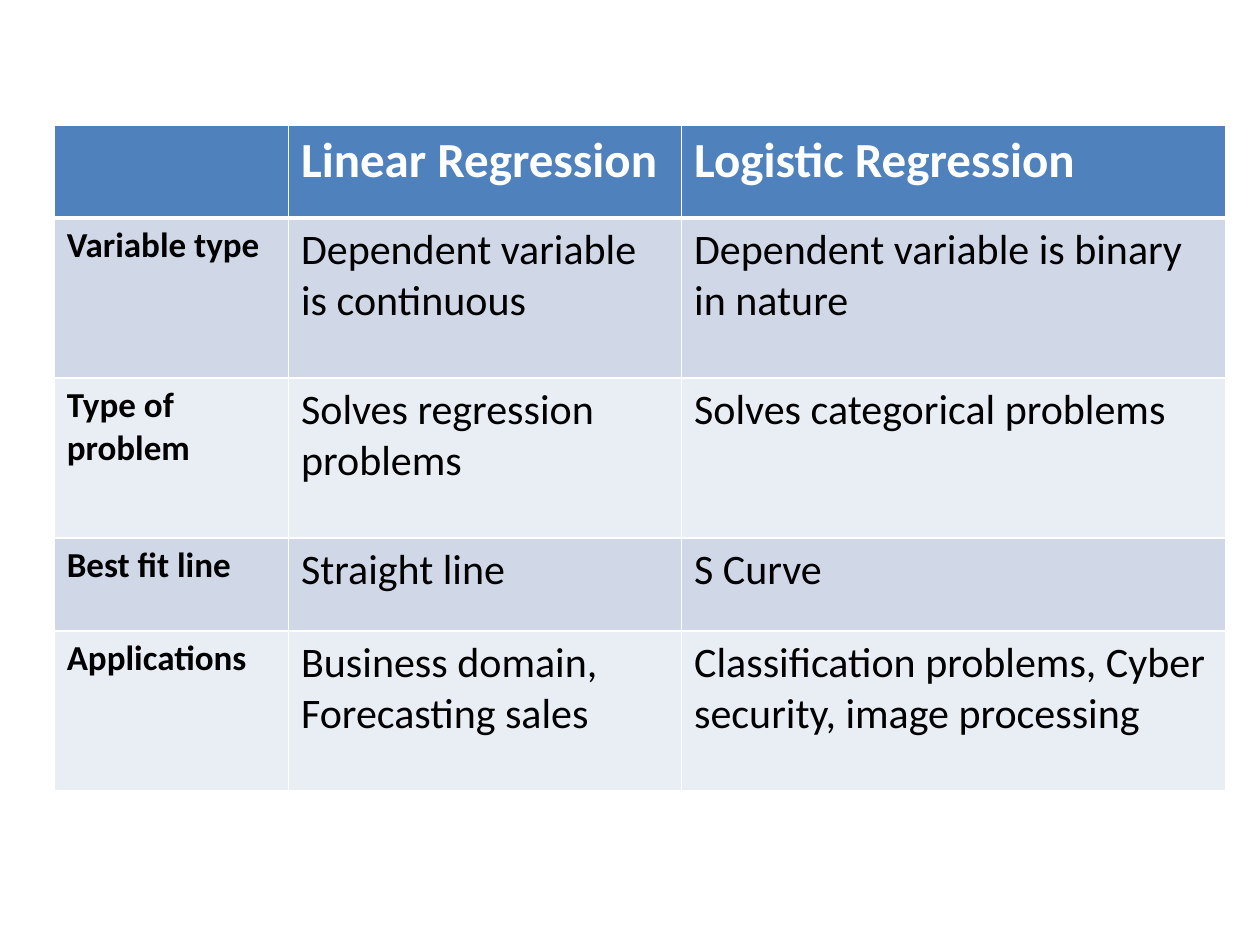
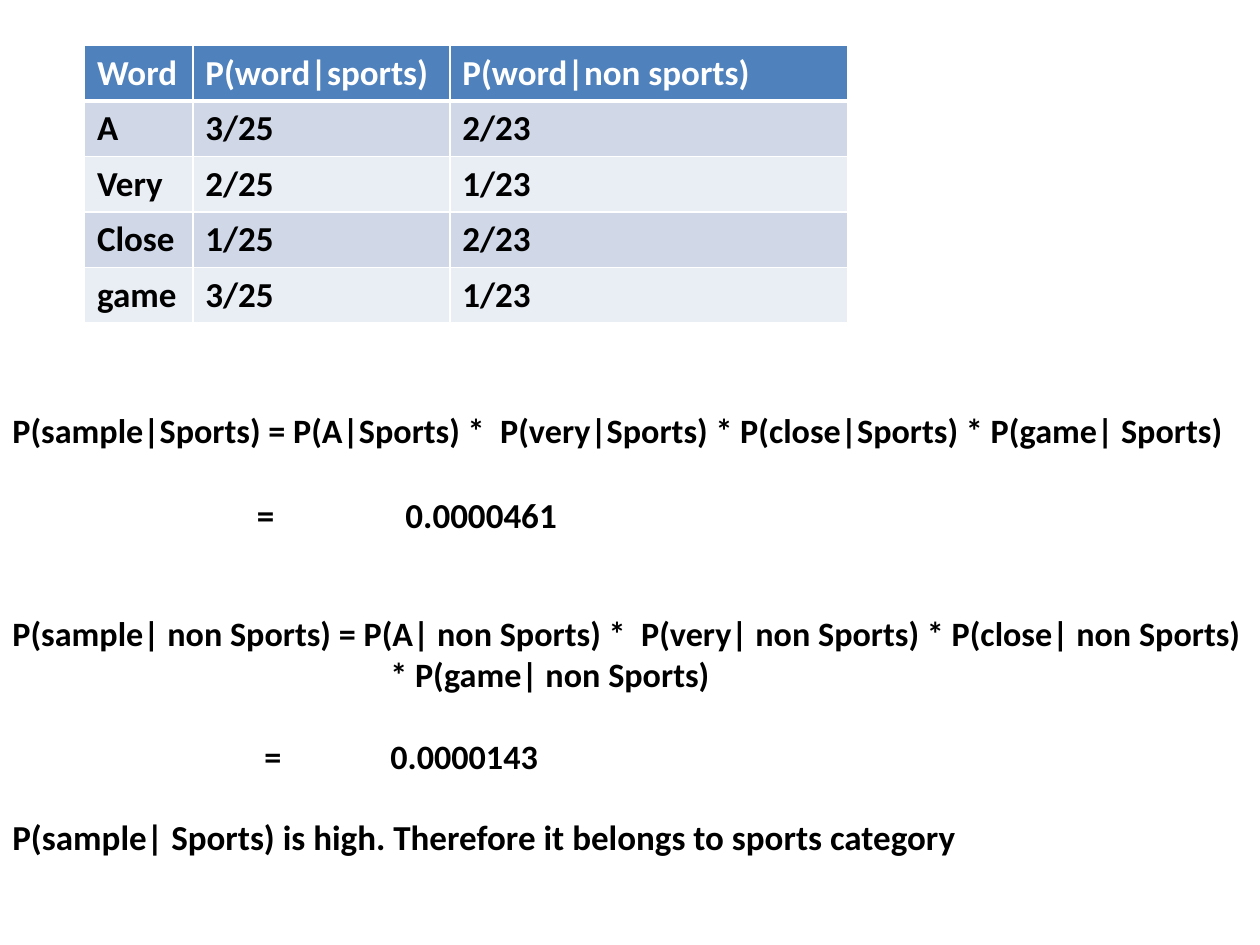
import pptx
import pptx.util
import pptx.dml.color
import pptx.oxml
import pptx.oxml.ns
import lxml.etree

Inches = pptx.util.Inches
Pt = pptx.util.Pt

FONT = "Calibri"
COLORS = {
    "header": "4F81BD",
    "band_dark": "D0D8E8",
    "band_light": "E9EDF4",
    "white": "FFFFFF",
    "black": "000000",
}

REGRESSION_ROWS = [
    ["", "Linear Regression", "Logistic Regression"],
    ["Variable type", "Dependent variable is continuous",
     "Dependent variable is binary in nature"],
    ["Type of problem", "Solves regression problems", "Solves categorical problems"],
    ["Best fit line", "Straight line", "S Curve"],
    ["Applications", "Business domain, Forecasting sales",
     "Classification problems, Cyber security, image processing"],
]
WORD_ROWS = [
    ["Word", "P(word|sports)", "P(word|non sports)"],
    ["A", "3/25", "2/23"],
    ["Very", "2/25", "1/23"],
    ["Close", "1/25", "2/23"],
    ["game", "3/25", "1/23"],
]
# Text, size, space before in points, tab stops in inches
CALCULATION = [
    ("P(sample|Sports) = P(A|Sports) *  P(very|Sports) * P(close|Sports)"
     " * P(game| Sports)", 19.5, 0, []),
    ("\t=\t0.0000461", 20, 24.4, [1.94, 3.12]),
    ("P(sample| non Sports) = P(A| non Sports) *  P(very| non Sports)"
     " * P(close| non Sports)\v\t* P(game| non Sports)", 19.5, 44, [3]),
    ("\t=\t0.0000143", 19.5, 23.8, [2, 3]),
    ("P(sample| Sports) is high. Therefore it belongs to sports category",
     20, 22, []),
]


def rgb(name):
    return pptx.dml.color.RGBColor.from_string(COLORS[name])


def format_runs(paragraph, size, color, bold):
    for run in paragraph.runs:
        run.font.name = FONT
        run.font.size = Pt(size)
        run.font.bold = bold
        run.font.color.rgb = rgb(color)


def add_borders(cell, widths):
    """Draw white cell borders; widths maps each side to points."""
    properties = cell._tc.get_or_add_tcPr()
    for side in "LRTB":
        line = lxml.etree.SubElement(
            properties, pptx.oxml.ns.qn("a:ln" + side), w=str(Pt(widths[side])))
        fill = lxml.etree.SubElement(line, pptx.oxml.ns.qn("a:solidFill"))
        lxml.etree.SubElement(
            fill, pptx.oxml.ns.qn("a:srgbClr"), val=COLORS["white"])


def add_banded_table(slide, left, top, column_widths, row_heights, rows, text_style):
    """text_style(row, column) gives the size and boldness of a cell."""
    table = slide.shapes.add_table(
        len(rows), len(column_widths), Inches(left), Inches(top),
        Inches(sum(column_widths)), Inches(sum(row_heights))).table
    for column, width in zip(table.columns, column_widths):
        column.width = Inches(width)
    for row, height in zip(table.rows, row_heights):
        row.height = Inches(height)

    for row_index, texts in enumerate(rows):
        is_header = row_index == 0
        band = "band_dark" if row_index % 2 else "band_light"
        for column_index, text in enumerate(texts):
            cell = table.cell(row_index, column_index)
            add_borders(cell, {"L": 1, "R": 1, "T": 3 if row_index == 1 else 1,
                               "B": 3 if is_header else 1})
            cell.fill.solid()
            cell.fill.fore_color.rgb = rgb("header" if is_header else band)
            cell.text_frame.text = text
            size, bold = text_style(row_index, column_index)
            format_runs(cell.text_frame.paragraphs[0], size,
                        "white" if is_header else "black", bold)


def add_tab_stops(paragraph, positions):
    tab_list = lxml.etree.SubElement(
        paragraph._p.get_or_add_pPr(), pptx.oxml.ns.qn("a:tabLst"))
    for position in positions:
        lxml.etree.SubElement(tab_list, pptx.oxml.ns.qn("a:tab"),
                              pos=str(Inches(position)), algn="l")


def add_calculation(slide, left, top, width, height):
    text_frame = slide.shapes.add_textbox(
        Inches(left), Inches(top), Inches(width), Inches(height)).text_frame
    text_frame.word_wrap = True
    for index, (text, size, space_before, tab_stops) in enumerate(CALCULATION):
        paragraph = text_frame.add_paragraph() if index else text_frame.paragraphs[0]
        paragraph.text = text
        paragraph.space_before = Pt(space_before)
        if tab_stops:
            add_tab_stops(paragraph, tab_stops)
        format_runs(paragraph, size, "black", True)


def regression_text_style(row, column):
    if row == 0:
        return 28, True
    return (20, True) if column == 0 else (24, False)


def build_regression_slide(slide):
    add_banded_table(slide, 0.43, 0.99, [1.86, 3.12, 4.32],
                     [0.74, 1.27, 1.27, 0.74, 1.27],
                     REGRESSION_ROWS, regression_text_style)


def build_sports_slide(slide):
    add_banded_table(slide, 0.67, 0.36, [0.86, 2.04, 3.16],
                     [0.41] * len(WORD_ROWS), WORD_ROWS,
                     lambda row, column: (20, True))
    add_calculation(slide, 0, 3.2, 10, 3.73)


def main():
    presentation = pptx.Presentation()
    presentation.slide_width = Inches(10)
    presentation.slide_height = Inches(7.5)
    blank_layout = presentation.slide_layouts[6]
    for build_slide in (build_regression_slide, build_sports_slide):
        build_slide(presentation.slides.add_slide(blank_layout))
    presentation.save("out.pptx")


if __name__ == "__main__":
    main()
